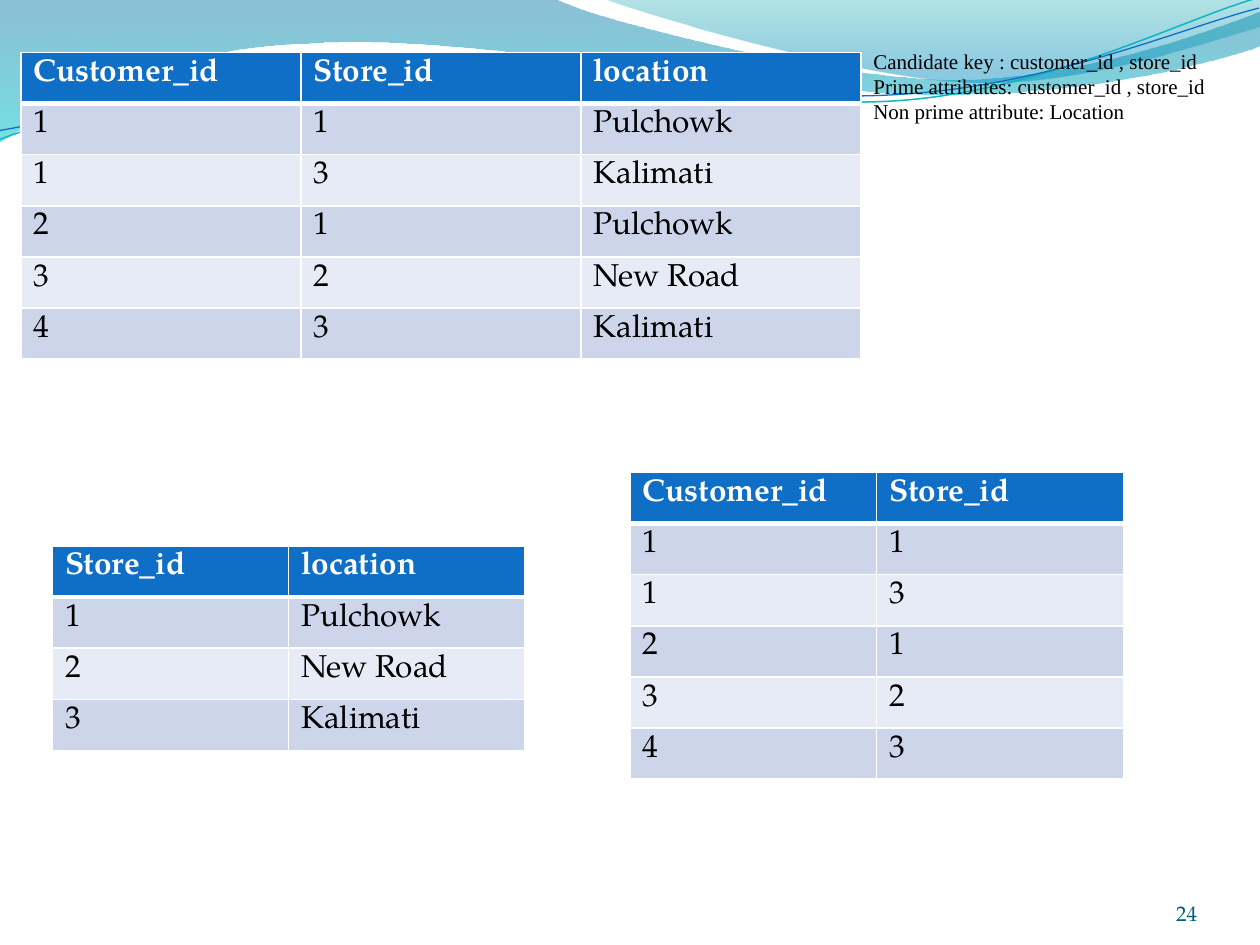
from lxml.etree import SubElement
from pptx import Presentation
from pptx.dml.color import RGBColor
from pptx.enum.text import MSO_ANCHOR, MSO_AUTO_SIZE, PP_ALIGN
from pptx.oxml import parse_xml
from pptx.oxml.ns import nsdecls, qn
from pptx.util import Inches, Pt

COLORS = {
    "header": "0F6FC6", "odd": "CCD5EA", "even": "E7EBF5", "white": "FFFFFF",
    "black": "000000", "page": "045D75", "teal": "0AB8BF",
    "deep": "0074A1", "aqua": "00C6CF", "sea": "00A1A9", "sky": "008BBF",
}
SERIF, NOTE_FONT = "TeX Gyre Pagella", "Times New Roman"
COLUMNS, ROWS = 120, 90
WAVE_CELLS = 12
STRAND_TILT = -2.7
TABLE_ROW = 4.87

LEFT_WAVE = [
    [(0, 0)], [(4.4, -0.01)],
    [(4.76, 0.17), (6.64, 0.63), (7.58, 0.63)],
    [(8.53, 0.63), (9.58, 0.26), (10, 0.09)], [(10.01, 0.36)],
    [(9.83, 0.44), (8.7, 0.76), (7.46, 0.75)],
    [(6.22, 0.75), (3.82, 0.28), (2.57, 0.34)],
    [(1.29, 0.36), (0.46, 0.83), (-0.01, 1.13)], [(0, 0)],
]
RIGHT_WAVE = [
    [(4.79, -0.01)],
    [(5.09, 0.11), (6.82, 0.62), (7.69, 0.65)],
    [(8.56, 0.69), (9.61, 0.32), (10, 0.21)], [(10, 0)], [(4.79, -0.01)],
]
TEAL_STRAND = [
    [(-0.02, 0.87)],
    [(0.47, 0.72), (1.58, 0.41), (2.77, 0.41)],
    [(3.96, 0.42), (5.91, 0.93), (7.12, 0.9)],
    [(8.32, 0.87), (9.4, 0.36), (10, 0.22)],
]
BLUE_STRAND = [
    [(-0.02, 0.8)],
    [(0.46, 0.75), (1.64, 0.45), (2.83, 0.46)],
    [(4.03, 0.46), (5.96, 0.88), (7.16, 0.85)],
    [(8.35, 0.83), (9.42, 0.42), (10.01, 0.3)],
]

CUSTOMER_STORES = [("1", "1"), ("1", "3"), ("2", "1"), ("3", "2"), ("4", "3")]
STORE_LOCATIONS = {"1": "Pulchowk", "2": "New Road", "3": "Kalimati"}
KEY_NOTES = [
    "Candidate key : customer_id , store_id",
    "Prime attributes: customer_id , store_id",
    "Non prime attribute: Location",
]


class SlideBuilder:
    """Hold the slide, its grid and its style."""

    def __init__(self, deck):
        self.slide = deck.slides.add_slide(deck.slide_layouts[6])
        self.column = deck.slide_width / COLUMNS
        self.row = deck.slide_height / ROWS

    def box(self, left, top, width, height):
        """Turn grid cells into lengths."""
        return (round(left * self.column), round(top * self.row),
                round(width * self.column), round(height * self.row))

    def style(self, paragraph, font, size, color, bold=False):
        """Format every run of a paragraph."""
        for run in paragraph.runs:
            run.font.name, run.font.size, run.font.bold = font, Pt(size), bold
            run.font.color.rgb = RGBColor.from_string(COLORS[color])

    def outline(self, segments, closed):
        """Draw a freeform whose three-point segments are cubic curves."""
        points = [(x * WAVE_CELLS * self.column, y * WAVE_CELLS * self.row)
                  for segment in segments for x, y in segment]
        builder = self.slide.shapes.build_freeform(*points[0])
        builder.add_line_segments(points[1:], close=closed)
        shape = builder.convert_to_shape()
        shape.shadow.inherit = False
        steps = iter(list(shape.element.spPr.iter(qn("a:lnTo"))))
        for segment in segments[1:]:
            first, *others = [next(steps) for _ in segment]
            if others:
                first.tag = qn("a:cubicBezTo")
            for step in others:
                first.append(step[0])
                step.getparent().remove(step)
        return shape

    def wave(self, segments, stops):
        """Draw a translucent band shaded from top to bottom."""
        band = self.outline(segments, True)
        band.line.fill.background()
        band.fill.gradient()
        band.fill.gradient_angle = 270
        for stop, (position, color, _) in zip(band.fill.gradient_stops, stops):
            stop.position = position
            stop.color.rgb = RGBColor.from_string(COLORS[color])
        tints = list(band.element.spPr.iter(qn("a:srgbClr")))
        for tint, (_, _, opacity) in zip(tints, stops):
            SubElement(tint, qn("a:alpha"), val=str(opacity * 1000))

    def strand(self, segments, color, width):
        """Draw a thin, slightly tilted open curve."""
        curve = self.outline(segments, False)
        curve.rotation = STRAND_TILT
        curve.fill.background()
        curve.line.color.rgb = RGBColor.from_string(COLORS[color])
        curve.line.width = Pt(width)

    def text(self, cells, lines, font, color):
        """Add a wrapping text box and return its frame."""
        frame = self.slide.shapes.add_textbox(*self.box(*cells)).text_frame
        frame.word_wrap = True
        frame.text = "\n".join(lines)
        for paragraph in frame.paragraphs:
            self.style(paragraph, font, 12, color)
        return frame

    def page_number(self, cells, number):
        """Add the page number at the bottom right."""
        frame = self.text(cells, [number], SERIF, "page")
        frame.margin_left = frame.margin_right = frame.margin_top = frame.margin_bottom = 0
        frame.vertical_anchor = MSO_ANCHOR.BOTTOM
        frame.paragraphs[0].alignment = PP_ALIGN.RIGHT

    def borders(self, cell, top, bottom):
        """Give a cell white borders."""
        sides = {"L": 1, "R": 1, "T": top, "B": bottom}
        for index, (side, width) in enumerate(sides.items()):
            cell._tc.get_or_add_tcPr().insert(index, parse_xml(
                f'<a:ln{side} {nsdecls("a")} w="{Pt(width)}"><a:solidFill>'
                f'<a:srgbClr val="{COLORS["white"]}"/></a:solidFill></a:ln{side}>'))

    def table(self, left, top, width, headings, records):
        """Add a banded table with a header row."""
        rows = [headings, *records]
        area = self.box(left, top, width, TABLE_ROW * len(rows))
        grid = self.slide.shapes.add_table(len(rows), len(headings), *area).table
        for r, values in enumerate(rows):
            header = r == 0
            fill = "header" if header else ("even", "odd")[r % 2]
            for c, value in enumerate(values):
                cell = grid.cell(r, c)
                cell.text_frame.text = value
                self.style(cell.text_frame.paragraphs[0], SERIF, 18,
                           "white" if header else "black", header)
                cell.fill.solid()
                cell.fill.fore_color.rgb = RGBColor.from_string(COLORS[fill])
                self.borders(cell, 3 if r == 1 else 1, 3 if header else 1)


def main():
    """Build the slide on splitting a relation by its keys."""
    deck = Presentation()
    deck.slide_width, deck.slide_height = Inches(10), Inches(7.5)
    page = SlideBuilder(deck)

    page.wave(LEFT_WAVE, [(0, "deep", 45), (1, "aqua", 55)])
    page.wave(RIGHT_WAVE, [(0, "sea", 30), (0.8, "sky", 45)])
    page.strand(TEAL_STRAND, "teal", 0.85)
    page.strand(BLUE_STRAND, "header", 0.75)

    page.page_number((104, 83.4, 10, 4.8), "24")
    notes = page.text((82, 4, 36, 8.5), KEY_NOTES, NOTE_FONT, "black")
    notes.auto_size = MSO_AUTO_SIZE.SHAPE_TO_FIT_TEXT

    joined = [(customer, store, STORE_LOCATIONS[store]) for customer, store in CUSTOMER_STORES]
    page.table(2, 5, 80, ("Customer_id", "Store_id", "location"), joined)
    page.table(5, 52, 45, ("Store_id", "location"), STORE_LOCATIONS.items())
    page.table(60, 45, 47, ("Customer_id", "Store_id"), CUSTOMER_STORES)
    deck.save("out.pptx")


if __name__ == "__main__":
    main()
